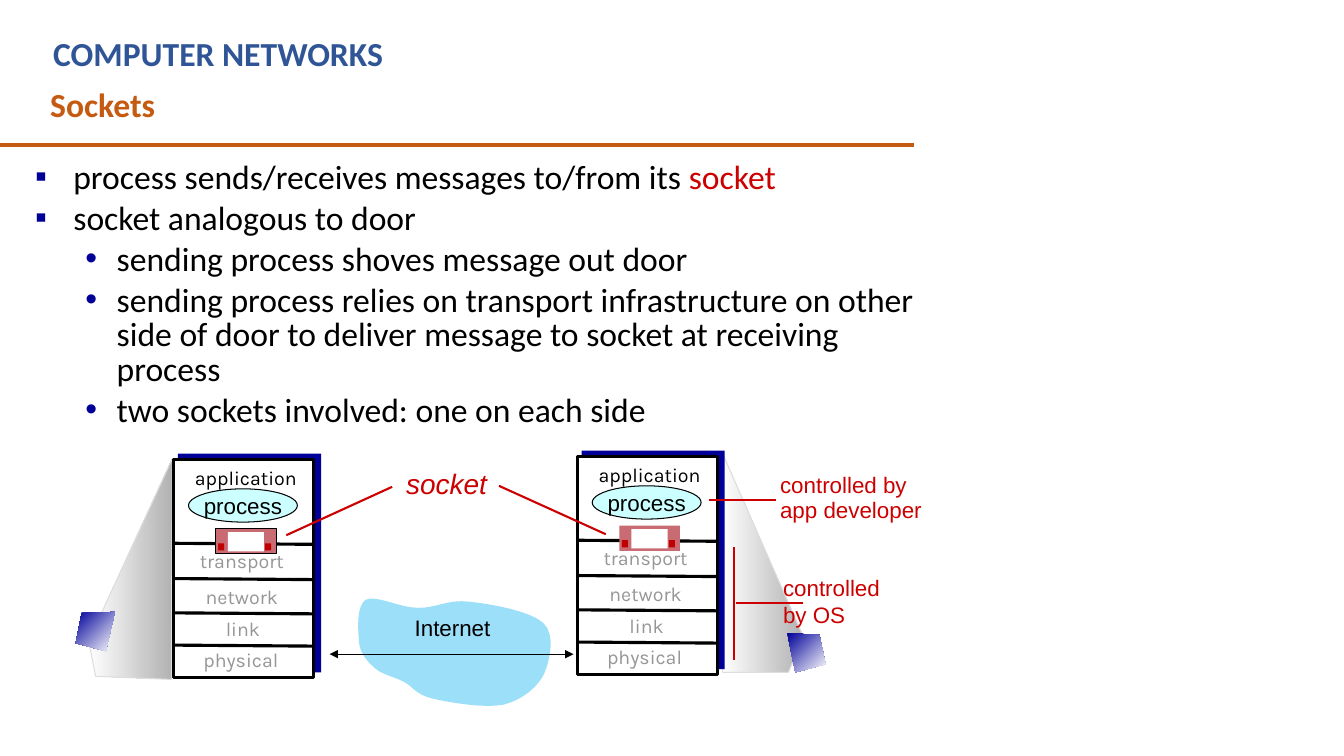
from lxml import etree
from pptx import Presentation
from pptx import util as u
from pptx.dml.color import RGBColor
from pptx.enum import shapes, text
from pptx.oxml.ns import qn

THEME = {
    "blue": "2F5597", "orange": "C55A11", "black": "000000", "white": "FFFFFF",
    "red": "CC0000", "navy": "000099", "muted": "969696", "cloud": "9CDFF9",
    "oval": "CCFFFF", "door": "C96B72", "knob": "C00000", "beam": "B2B2B2",
    "beam edge": "DDDDDD",
    "heading": 24, "socket": 20, "note": 16, "layer": 14,
    "thin": 0.75, "medium": 1.5, "thick": 2.25, "heavy": 3,
}
CELL = u.Inches(0.1)  # one column or row of the grid
COLUMNS, ROWS = 133.33, 75

deck = Presentation()
deck.slide_width, deck.slide_height = int(COLUMNS * CELL), int(ROWS * CELL)
slide = deck.slides.add_slide(deck.slide_layouts[6])
canvas = slide.shapes


def write(content, box=None, holder=None, size="note", font="Arial", color="black",
          bold=False, italic=False, align="LEFT", spacing=1.0, wrap=True, grow=True,
          accent="red", bullets=(), before=0):
    """Put lines into a box; text after a | takes the accent colour."""
    holder = holder or canvas.add_textbox(*(int(n * CELL) for n in box))
    frame = holder.text_frame
    frame.word_wrap = wrap
    frame.auto_size = (text.MSO_AUTO_SIZE.SHAPE_TO_FIT_TEXT if grow
                       else text.MSO_AUTO_SIZE.NONE)
    for row, line in enumerate(content.split("\n")):
        paragraph = frame.add_paragraph() if row else frame.paragraphs[0]
        paragraph.alignment = text.PP_ALIGN[align]
        paragraph.line_spacing = spacing
        paragraph.space_before = u.Pt(before if row else 0)
        if bullets:
            mark, level, margin, hang = bullets[row]
            paragraph.level = level
            props = paragraph._p.get_or_add_pPr()
            props.set("marL", str(int(margin * CELL)))
            props.set("indent", str(int(-hang * CELL)))
            tint = etree.SubElement(props, qn("a:buClr"))
            etree.SubElement(tint, qn("a:srgbClr"), val=THEME["navy"])
            etree.SubElement(props, qn("a:buFont"), typeface="Arial")
            etree.SubElement(props, qn("a:buChar"), char=mark)
        for part, words in enumerate(line.split("|")):
            run = paragraph.add_run()
            run.text = words
            run.font.name, run.font.size = font, u.Pt(THEME[size])
            run.font.bold, run.font.italic = bold, italic
            run.font.color.rgb = RGBColor.from_string(THEME[accent if part else color])


def draw(kind, points, fill=None, edge=None, weight="thin", angle=0, arrows=False,
         parent=canvas):
    """Draw a line, an outline through points, or a preset shape in a box."""
    if kind == "line":
        (x1, y1), (x2, y2) = points
        item = parent.add_connector(shapes.MSO_CONNECTOR.STRAIGHT,
                                    *(int(n * CELL) for n in (x1, y1, x2, y2)))
    elif kind == "outline":
        corners = [(int(x * CELL), int(y * CELL)) for x, y in points]
        pen = parent.build_freeform(*corners[0])
        pen.add_line_segments(corners[1:], close=True)
        item = pen.convert_to_shape()
    else:
        item = parent.add_shape(shapes.MSO_SHAPE[kind], *(int(n * CELL) for n in points))
    if edge:
        item.line.color.rgb = RGBColor.from_string(THEME[edge])
        item.line.width = u.Pt(THEME[weight])
    else:
        item.line.fill.background()
    if kind == "line":
        if arrows:
            for end in ("a:headEnd", "a:tailEnd"):
                etree.SubElement(item.line._get_or_add_ln(), qn(end), type="triangle")
        etree.SubElement(item._element.spPr, qn("a:effectLst"))
        return item
    item.shadow.inherit = False
    if isinstance(fill, tuple):
        item.fill.gradient()
        item.fill.gradient_angle = angle
        for stop, name, position in zip(item.fill.gradient_stops, fill, (0, 1)):
            stop.color.rgb = RGBColor.from_string(THEME[name])
            stop.position = position
    else:
        item.fill.solid()
        item.fill.fore_color.rgb = RGBColor.from_string(THEME[fill])
    return item


# Heading
draw("line", [(-0.1, 14.4), (90.7, 14.4)], edge="orange", weight="heavy")
write("COMPUTER NETWORKS", (4.3, 2.8, 82, 5), size="heading", font="Calibri",
      color="blue", bold=True)
write("Sockets", (4, 7.8, 87.5, 5), size="heading", font="Calibri",
      color="orange", bold=True)

# Bulleted explanation
outer, inner = ("▪", 0, 3.8, 3.8), ("•", 1, 8.1, 3.1)
write("process sends/receives messages to/from its |socket\n"
      "socket analogous to door\n"
      "sending process shoves message out door\n"
      "sending process relies on transport infrastructure on other side of door "
      "to deliver message to socket at receiving process\n"
      "two sockets involved: one on each side",
      (2.5, 15.6, 90, 25.5), size="heading", font="Calibri", spacing=0.85,
      grow=False, bullets=[outer] * 2 + [inner] * 3, before=4.8)

# Beams from each computer to its stack
for beam in (
    [(79.7, 63.2), (71.6, 44.8), (71.7, 66.7), (78.2, 66.7)],
    [(8.8, 63.6), (17.1, 45.5), (17, 67.4), (9.5, 67.1)],
):
    draw("outline", beam, fill=("white", "beam"), edge="beam edge")

# Internet cloud: cubic curves sampled in equal steps
cloud_curves = [
    (35.5, 62.3, 35.4, 60, 36.3, 59.5), (37.3, 59, 39.7, 60.3, 41.4, 60.3),
    (43.1, 60.4, 44.5, 59.4, 46.6, 59.7), (48.6, 59.9, 52.6, 60.6, 53.9, 61.8),
    (55.1, 62.9, 54.6, 65.4, 54, 66.8), (53.4, 68.1, 51.9, 69.4, 50, 69.9),
    (48.1, 70.3, 44.6, 69.7, 42.9, 69.3), (41.2, 68.9, 41, 68.1, 40, 67.6),
    (39, 67.1, 37.8, 66.9, 37.1, 66.2), (36.3, 65.5, 35.6, 64.6, 35.6, 63.4),
]
STEPS = 8
cloud = [(35.6, 63.4)]
for ax, ay, bx, by, ex, ey in cloud_curves:
    sx, sy = cloud[-1]
    for step in range(1, STEPS + 1):
        t = step / STEPS
        s = 1 - t
        cloud.append((s**3 * sx + 3 * s * s * t * ax + 3 * s * t * t * bx + t**3 * ex,
                      s**3 * sy + 3 * s * s * t * ay + 3 * s * t * t * by + t**3 * ey))
draw("outline", cloud, fill="cloud")
write("Internet", (40.1, 60.4, 9.6, 3.7), align="CENTER", wrap=False)
draw("line", [(32.7, 64.9), (56.9, 64.9)], edge="black", arrows=True)

# Protocol stacks
layers = [("application", 0, -0.1, "black"), ("transport", -0.4, 8.1, "muted"),
          ("network", -0.4, 11.7, "muted"), ("link", -0.3, 14.9, "muted"),
          ("physical", -0.5, 18, "muted")]
for left, top, door_edge in ((17.2, 45.6, "black"), (57.25, 45.3, None)):
    draw("RECTANGLE", (left + 0.45, top - 0.6, 14.2, 21.7), fill="navy")
    draw("RECTANGLE", (left, top, 13.9, 21.6), fill="white", edge="black", weight="thick")
    for divider in (8.3, 11.8, 15.2, 18.4):
        draw("line", [(left + 0.1, top + divider), (left + 13.9, top + divider + 0.1)],
             edge="black", weight="thick")
    for layer, shift, drop, shade in layers:
        write(layer, (left + shift, top + drop, 14.4, 3.6), size="layer", font="Karla",
              color=shade, align="CENTER", spacing=1.1)
    process = draw("OVAL", (left + 1.5, top + 2.9, 10.8, 3.3), fill="oval", edge="black")
    process.text_frame.vertical_anchor = text.MSO_ANCHOR.MIDDLE
    write("process", holder=process, align="CENTER", wrap=False, grow=False)
    door = canvas.add_group_shape().shapes
    for dx, dy, width, height, paint, edge in (
        (4.2, 6.85, 6, 2.5, "door", door_edge), (5.4, 7.2, 3.6, 1.9, "white", None),
        (9.1, 8.3, 0.6, 0.7, "knob", None), (4.45, 8.3, 0.6, 0.7, "knob", None),
    ):
        draw("RECTANGLE", (left + dx, top + dy, width, height), fill=paint, edge=edge,
             parent=door)

# Red notes and their pointers
write("controlled\nby OS", (76.7, 56.5, 11.6, 9), color="red", wrap=False)
write("controlled by\napp developer", (76.4, 46.6, 16.1, 5.8), color="red",
      spacing=0.9, wrap=False)
write("socket", (39.3, 46.2, 11, 4), size="socket", color="red", italic=True,
      spacing=0.9)
for pointer in (
    [(77, 49.6), (70.3, 49.6)], [(72.8, 54.3), (72.8, 65.5)],
    [(79.7, 59.8), (73, 59.8)], [(28.4, 53.1), (38.9, 48.3)],
    [(60.1, 53), (49.5, 48.2)],
):
    draw("line", pointer, edge="red", weight="medium")

# Computers
for computer in (
    [(11.4, 60.7), (8.1, 60.8), (7.5, 63.8), (10.5, 64.6)],
    [(78.1, 62.8), (81.3, 63), (81.9, 65.9), (78.9, 66.7)],
):
    draw("outline", computer, fill=("navy", "white"), angle=315)

deck.save("out.pptx")
